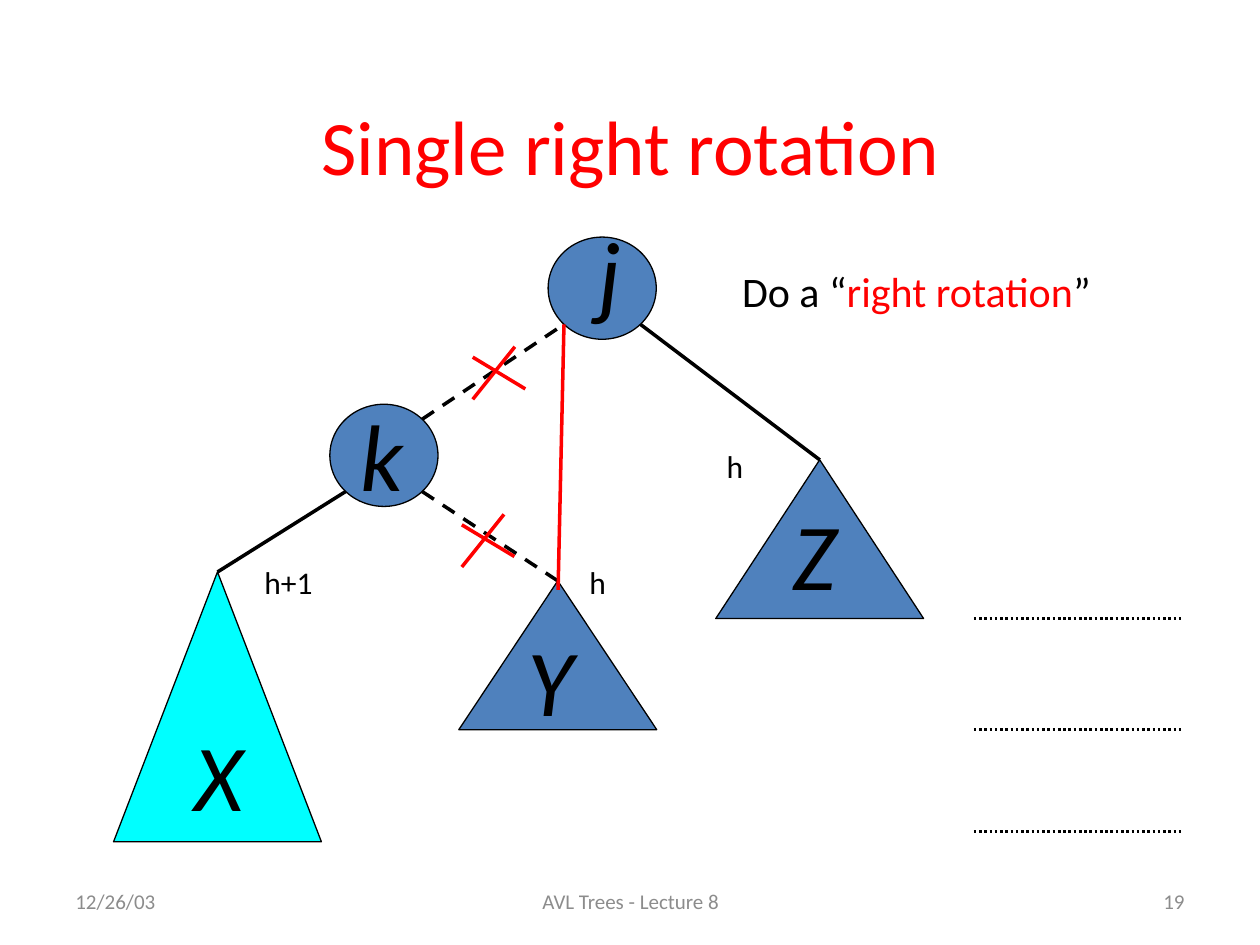
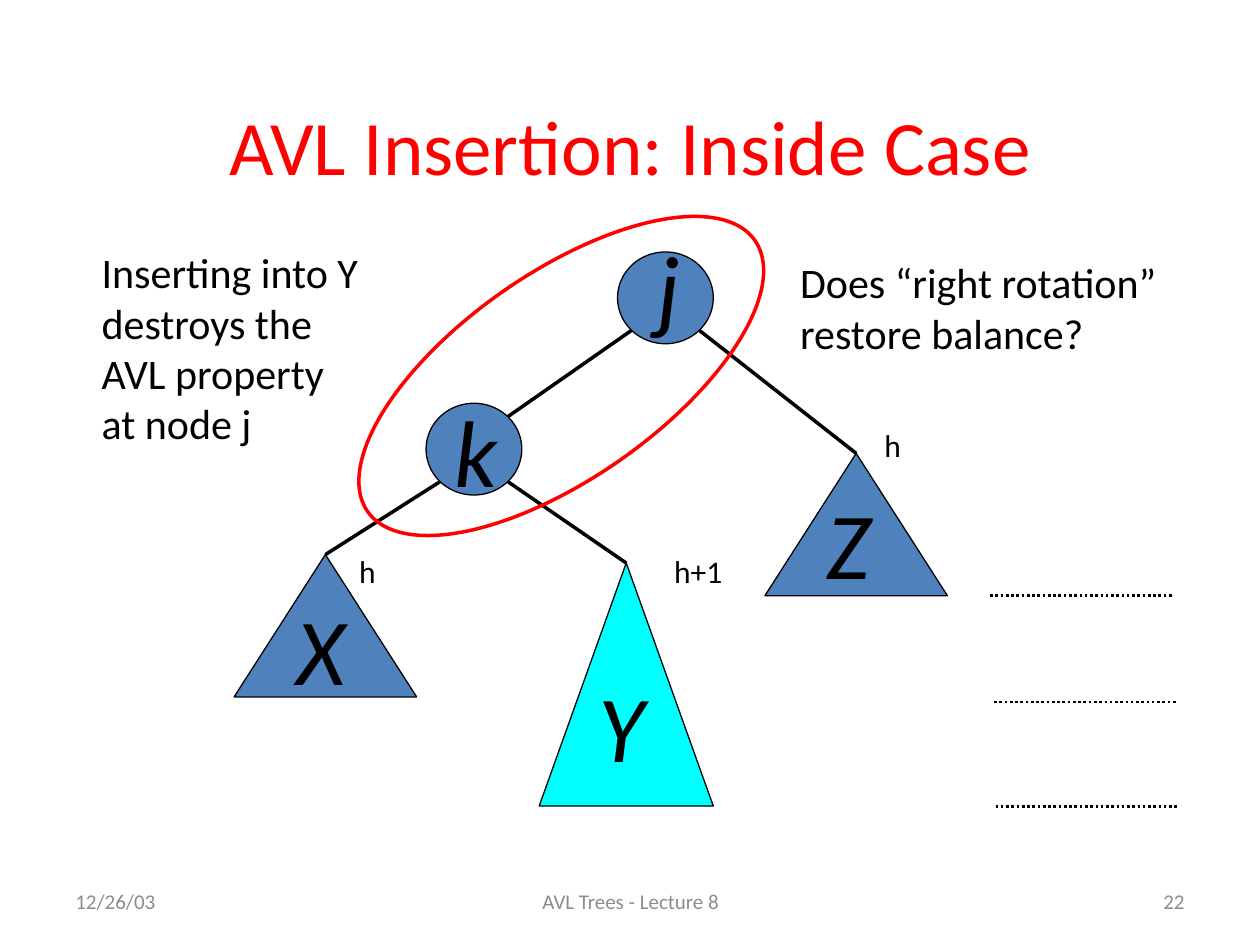
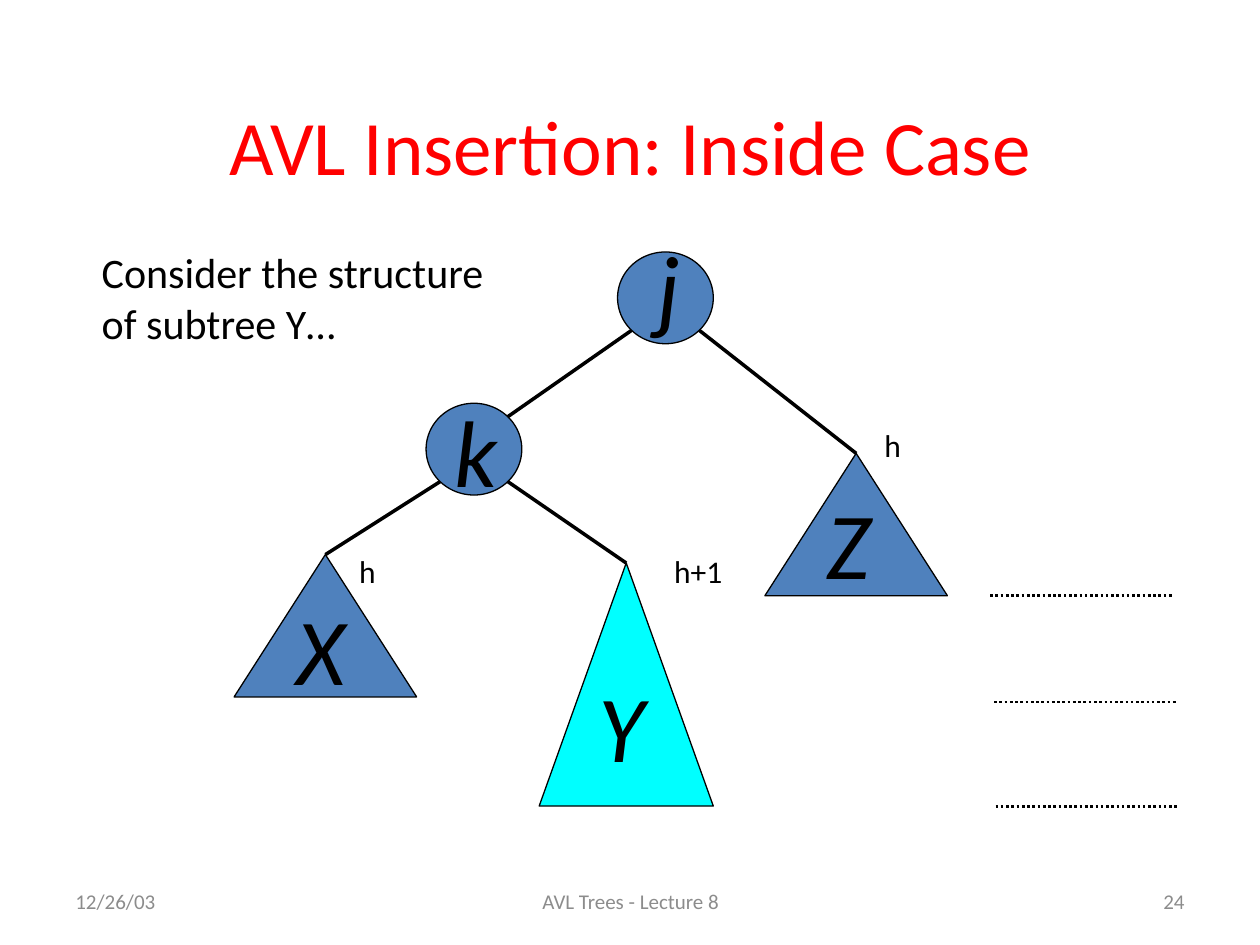
"""Build three slides on AVL tree rotations, each showing a tree under a red title."""
from dataclasses import dataclass
from typing import Any, NamedTuple

import lxml.etree
import pptx
import pptx.dml.color
import pptx.enum.dml
import pptx.enum.shapes
import pptx.enum.text
import pptx.oxml.ns
import pptx.util

Cm = pptx.util.Cm
SHAPE = pptx.enum.shapes.MSO_SHAPE
ALIGN = pptx.enum.text.PP_ALIGN
ANCHOR = pptx.enum.text.MSO_ANCHOR
DASH = pptx.enum.dml.MSO_LINE

FONT = "Calibri"
BLACK, RED, GREY, BLUE, CYAN = "000000", "FF0000", "8C8C8C", "4F81BD", "00FFFF"
TITLE_ONLY = 5
DIAGONAL = 0.5 ** 0.5 / 2


class Point(NamedTuple):
    x: float
    y: float


class Box(NamedTuple):
    x: float
    y: float
    w: float
    h: float


class Note(NamedTuple):
    box: Box
    lines: tuple[str, ...]


class Label(NamedTuple):
    text: str
    at: Point


@dataclass(frozen=True)
class Part:
    """A node or subtree, with the place of its letter."""
    letter: str
    box: Box
    letter_at: Point
    fill: str = BLUE

    def lower_corner(self, side: int) -> Point:
        """Return the lower left (-1) or lower right (1) diagonal point of a node."""
        x, y, w, h = self.box
        return Point(x + w * (0.5 + side * DIAGONAL), y + h * (0.5 + DIAGONAL))

    def upper_right(self) -> Point:
        """Return the upper right diagonal point of a node."""
        x, y, w, h = self.box
        return Point(x + w * (0.5 + DIAGONAL), y + h * (0.5 - DIAGONAL))


@dataclass(frozen=True)
class Tree:
    """Root j with children k and z, where k holds x and y."""
    j: Part
    k: Part
    x: Part
    y: Part
    z: Part
    letter_width: float
    heights: tuple[Label, ...]
    levels: tuple[Point, ...]
    level_length: float
    cut: bool = False


@dataclass(frozen=True)
class Page:
    """The content of one slide."""
    number: int
    title: str
    tree: Tree
    notes: tuple[Note, ...]
    ring: Box | None = None


OUTSIDE = Tree(
    j=Part("j", Box(11.05, 4.78, 2.18, 2.06), Point(11.81, 4.19)),
    k=Part("k", Box(6.65, 8.15, 2.18, 2.06), Point(7.01, 7.87)),
    x=Part("X", Box(2.29, 11.53, 4.19, 5.44), Point(3.68, 14.33), CYAN),
    y=Part("Y", Box(9.25, 11.71, 3.99, 3), Point(10.39, 12.42)),
    z=Part("Z", Box(14.43, 9.27, 4.19, 3.2), Point(15.72, 9.88)),
    letter_width=1.35,
    heights=(Label("h", Point(14.4, 8.89)), Label("h+1", Point(5.08, 11.23)),
             Label("h", Point(11.63, 11.23))),
    levels=(Point(19.63, 12.47), Point(19.63, 14.71), Point(19.63, 16.76)),
    level_length=4.17,
    cut=True,
)
INSIDE = Tree(
    j=Part("j", Box(12.45, 5.08, 1.93, 1.85), Point(13, 4.47)),
    k=Part("k", Box(8.59, 8.13, 1.93, 1.85), Point(8.92, 7.8)),
    x=Part("X", Box(4.72, 11.18, 3.68, 2.87), Point(5.72, 11.79)),
    y=Part("Y", Box(10.87, 11.35, 3.51, 4.9), Point(11.81, 13.34), CYAN),
    z=Part("Z", Box(15.42, 9.14, 3.68, 2.87), Point(16.41, 9.65)),
    letter_width=1.18,
    heights=(Label("h", Point(17.58, 8.46)), Label("h+1", Point(13.34, 11)),
             Label("h", Point(6.99, 11))),
    levels=(Point(19.96, 12.01), Point(20.04, 14.15), Point(20.07, 16.26)),
    level_length=3.68,
)
CROSSES = (Point(9.53, 6.99), Point(9.31, 10.37))
NEW_EDGE_END = Point(11.25, 11.89)

PAGES = (
    Page(19, "Single right rotation", OUTSIDE,
         (Note(Box(14.71, 5.23, 7.8, 1.27), ("Do a “|right rotation|”",)),)),
    Page(22, "AVL Insertion: Inside Case", INSIDE,
         (Note(Box(1.8, 4.85, 6.4, 4.32),
               ("Inserting into Y", "destroys the", "AVL property", "at node j")),
          Note(Box(15.88, 5.05, 8, 2.29), ("Does “right rotation”", "restore balance?"))),
         ring=Box(6.55, 5.51, 9.53, 4.14)),
    Page(24, "AVL Insertion: Inside Case", INSIDE,
         (Note(Box(1.8, 4.85, 8.84, 2.29), ("Consider the structure", "of subtree Y…")),)),
)


def rgb(value: str) -> pptx.dml.color.RGBColor:
    """Turn a hex string into a colour."""
    return pptx.dml.color.RGBColor.from_string(value)


def lengths(values: tuple[float, ...]) -> list[pptx.util.Length]:
    """Turn centimetres into lengths."""
    return [Cm(v) for v in values]


def format_run(r: Any, size: float, color: str, italic: bool = False) -> None:
    """Give a run its font, size and colour."""
    r.font.name = FONT
    r.font.size = pptx.util.Pt(size)
    r.font.color.rgb = rgb(color)
    if italic:
        r.font.italic = True


def add_text(s: Any, box: Box, lines: tuple[str, ...], size: float, color: str = BLACK,
             italic: bool = False, align: Any = ALIGN.LEFT, anchor: Any = ANCHOR.TOP) -> None:
    """Add a text box, with the part of a line between bars in red."""
    tf = s.shapes.add_textbox(*lengths(box)).text_frame
    tf.word_wrap = True
    tf.vertical_anchor = anchor
    for i, line in enumerate(lines):
        p = tf.add_paragraph() if i else tf.paragraphs[0]
        p.alignment = align
        for n, piece in enumerate(line.split("|")):
            r = p.add_run()
            r.text = piece
            format_run(r, size, RED if n % 2 else color, italic)


def add_line(s: Any, start: Point, end: Point, color: str = BLACK, width: float = 2,
             dash: Any = None) -> Any:
    """Add a straight line without a shadow."""
    line = s.shapes.add_connector(pptx.enum.shapes.MSO_CONNECTOR.STRAIGHT,
                                  *lengths((*start, *end)))
    line.line.color.rgb = rgb(color)
    line.line.width = pptx.util.Pt(width)
    if dash is not None:
        line.line.dash_style = dash
    lxml.etree.SubElement(line._element.spPr, pptx.oxml.ns.qn("a:effectLst"))
    return line


def add_outline(s: Any, kind: Any, box: Box, fill: str | None, color: str = BLACK,
                width: float = 0.75) -> Any:
    """Add a preset shape, filled or hollow."""
    sp = s.shapes.add_shape(kind, *lengths(box))
    sp.shadow.inherit = False
    if fill:
        sp.fill.solid()
        sp.fill.fore_color.rgb = rgb(fill)
    else:
        sp.fill.background()
    sp.line.color.rgb = rgb(color)
    sp.line.width = pptx.util.Pt(width)
    return sp


def add_part(s: Any, kind: Any, part: Part, letter_width: float) -> Any:
    """Add a node or subtree and its letter."""
    sp = add_outline(s, kind, part.box, part.fill)
    add_text(s, Box(*part.letter_at, letter_width, 2.54), (part.letter,), 54, italic=True)
    return sp


def add_cross(s: Any, at: Point) -> None:
    """Strike out an edge with two red strokes."""
    add_line(s, Point(at.x, at.y + 0.21), Point(at.x + 1.06, at.y + 0.85), RED)
    add_line(s, Point(at.x + 0.85, at.y), Point(at.x, at.y + 1.06), RED)


def add_tree(s: Any, tree: Tree) -> None:
    """Draw the nodes, subtrees, edges, heights and level lines."""
    for node in (tree.j, tree.k):
        add_part(s, SHAPE.OVAL, node, tree.letter_width)
    dash = DASH.DASH if tree.cut else None
    add_line(s, tree.k.upper_right(), tree.j.lower_corner(-1), dash=dash)
    for part, parent, side, style in ((tree.x, tree.k, -1, None), (tree.y, tree.k, 1, dash),
                                      (tree.z, tree.j, 1, None)):
        sp = add_part(s, SHAPE.ISOSCELES_TRIANGLE, part, tree.letter_width)
        start = parent.lower_corner(side)
        add_line(s, start, start, dash=style).end_connect(sp, 0)
    if tree.cut:
        add_line(s, tree.j.lower_corner(-1), NEW_EDGE_END, RED)
        for at in CROSSES:
            add_cross(s, at)
    for at in tree.levels:
        add_line(s, at, Point(at.x + tree.level_length, at.y), width=1.5, dash=DASH.ROUND_DOT)
    for label in tree.heights:
        width = 0.91 if len(label.text) == 1 else 1.7
        add_text(s, Box(*label.at, width, 1.09), (label.text,), 18)


def add_frame(s: Any, page: Page) -> None:
    """Set the title and add the footer line."""
    title = s.shapes.title
    title.left, title.top, title.width, title.height = lengths((1.85, 1.8, 21.72, 2.24))
    tf = title.text_frame
    tf.text = page.title
    tf.vertical_anchor = ANCHOR.MIDDLE
    tf.paragraphs[0].alignment = ALIGN.CENTER
    format_run(tf.paragraphs[0].runs[0], 44, RED)
    for x, w, text, align in ((1.27, 5.92, "12/26/03", ALIGN.LEFT),
                              (8.69, 8.05, "AVL Trees - Lecture 8", ALIGN.CENTER),
                              (18.21, 5.92, str(page.number), ALIGN.RIGHT)):
        add_text(s, Box(x, 17.65, w, 1.02), (text,), 12, GREY, align=align,
                 anchor=ANCHOR.MIDDLE)


def add_page(prs: Any, page: Page) -> None:
    """Add one slide."""
    s = prs.slides.add_slide(prs.slide_layouts[TITLE_ONLY])
    add_frame(s, page)
    add_tree(s, page.tree)
    for note in page.notes:
        add_text(s, note.box, note.lines, 24)
    if page.ring:
        add_outline(s, SHAPE.OVAL, page.ring, None, RED, 2).rotation = 325


def main() -> None:
    """Build and save the slides."""
    prs = pptx.Presentation()
    prs.slide_width, prs.slide_height = Cm(25.4), Cm(19.05)
    for page in PAGES:
        add_page(prs, page)
    prs.save("out.pptx")


if __name__ == "__main__":
    main()
